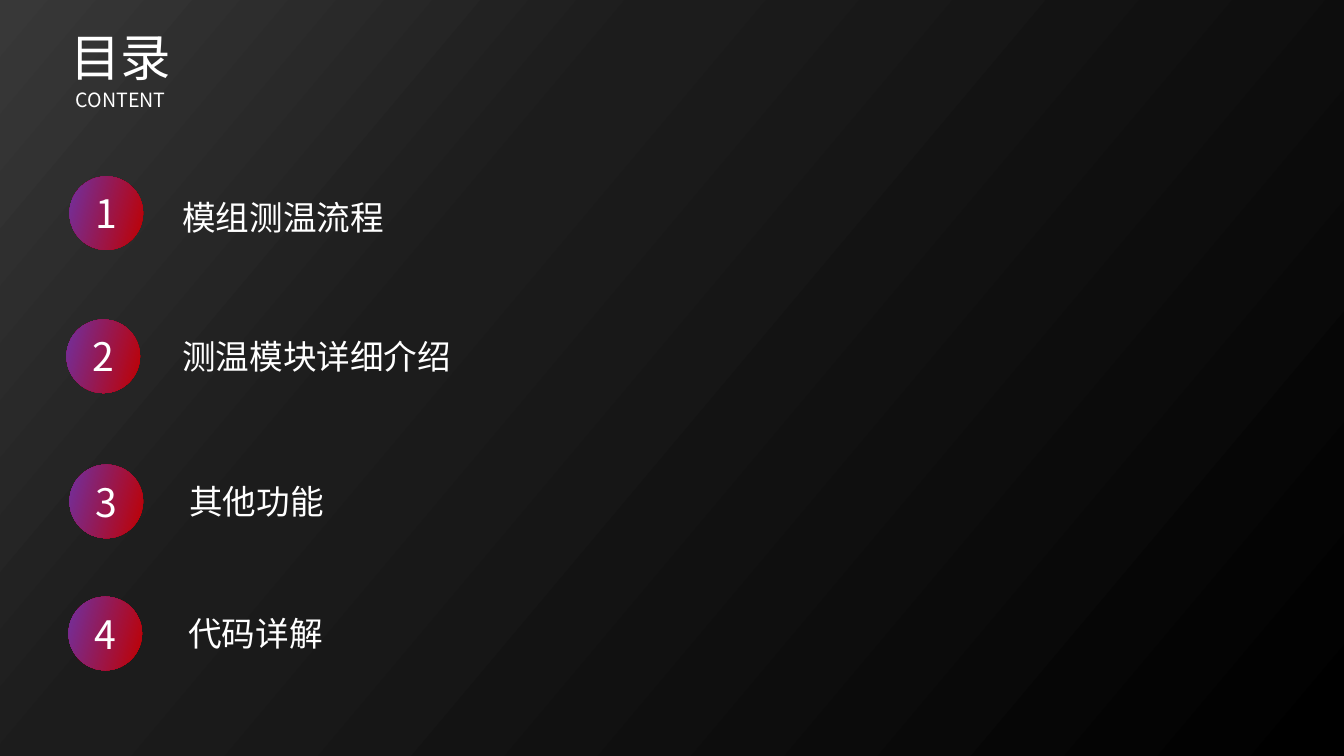
from copy import deepcopy
from dataclasses import dataclass

from pptx import Presentation
from pptx.dml.color import RGBColor
from pptx.enum.shapes import MSO_SHAPE
from pptx.enum.text import MSO_ANCHOR, MSO_AUTO_SIZE, PP_ALIGN
from pptx.oxml.ns import qn
from pptx.slide import Slide
from pptx.text.text import _Paragraph as Paragraph
from pptx.util import Emu, Pt

OVAL = MSO_SHAPE.OVAL
LEFT = PP_ALIGN.LEFT
MIDDLE = MSO_ANCHOR.MIDDLE
NO_AUTOFIT = MSO_AUTO_SIZE.NONE

EMU_PER_PX = 9144
TITLE_ONLY = 5
CIRCLE_SIZE = 73
CJK_FONT = "Noto Sans CJK SC"
COLOURS = {
    "text": "FFFFFF",
    "charcoal": "383838",
    "graphite": "1C1C1C",
    "black": "000000",
    "red": "C00000",
    "purple": "7030A0",
}


@dataclass(frozen=True)
class Box:
    left: int
    top: int
    width: int
    height: int

    def emu(self) -> tuple[Emu, ...]:
        return tuple(px(n) for n in (self.left, self.top, self.width, self.height))


@dataclass(frozen=True)
class Entry:
    label: str
    circle_left: int
    circle_top: int
    label_box: Box
    font: str = "Arial"
    wrap: bool = True


ENTRIES = [
    Entry("模组测温流程", 69, 175, Box(171, 190, 272, 50)),
    Entry("测温模块详细介绍", 66, 317, Box(171, 328, 315, 50), font=CJK_FONT),
    Entry("其他功能", 69, 461, Box(178, 472, 153, 50), wrap=False),
    Entry("代码详解", 68, 592, Box(177, 603, 153, 50), wrap=False),
]


def px(length: int) -> Emu:
    return Emu(length * EMU_PER_PX)


def colour(name: str) -> RGBColor:
    return RGBColor.from_string(COLOURS[name])


def format_text(paragraph: Paragraph, size: int, font: str) -> None:
    paragraph.alignment = LEFT
    for run in paragraph.runs:
        run.font.size = Pt(size)
        run.font.name = font
        run.font.color.rgb = colour("text")
        east_asian = run.font._element.makeelement(qn("a:ea"), {"typeface": font})
        run.font._element.find(qn("a:latin")).addnext(east_asian)


def set_background(slide: Slide) -> None:
    fill = slide.background.fill
    fill.gradient()
    fill.gradient_angle = 320
    stop_list = next(slide.background._cSld.iter(qn("a:gsLst")))
    stop_list.append(deepcopy(stop_list[-1]))
    stops = [(0, "charcoal"), (0.34, "graphite"), (1, "black")]
    for stop, (position, name) in zip(fill.gradient_stops, stops):
        stop.position = position
        stop.color.rgb = colour(name)


def add_heading(slide: Slide) -> None:
    title = slide.shapes.title
    title.left, title.top, title.width, title.height = Box(60, 19, 199, 97).emu()
    frame = title.text_frame
    frame.text = "目录\nCONTENT"
    frame.word_wrap = True
    frame.auto_size = NO_AUTOFIT
    frame.vertical_anchor = MIDDLE
    for paragraph, size, spacing in zip(frame.paragraphs, (36, 14), (44, 18)):
        format_text(paragraph, size, CJK_FONT)
        paragraph.line_spacing = Pt(spacing)
    subtitle = frame.paragraphs[1]
    subtitle._p.get_or_add_pPr().set("marL", str(px(5)))


def add_text(slide: Slide, text: str, box: Box, size: int, font: str, wrap: bool = True) -> None:
    frame = slide.shapes.add_textbox(*box.emu()).text_frame
    frame.text = text
    frame.word_wrap = wrap
    frame.vertical_anchor = MIDDLE
    format_text(frame.paragraphs[0], size, font)


def add_entry(slide: Slide, number: int, entry: Entry) -> None:
    circle_box = Box(entry.circle_left, entry.circle_top, CIRCLE_SIZE, CIRCLE_SIZE)
    circle = slide.shapes.add_shape(OVAL, *circle_box.emu())
    circle.shadow.inherit = False
    circle.line.fill.background()
    circle.fill.gradient()
    circle.fill.gradient_angle = 165
    for stop, position, name in zip(circle.fill.gradient_stops, (0, 1), ("red", "purple")):
        stop.position = position
        stop.color.rgb = colour(name)
    number_box = Box(entry.circle_left + 16, entry.circle_top + 8, 42, 57)
    add_text(slide, str(number), number_box, 28, CJK_FONT)
    add_text(slide, entry.label, entry.label_box, 24, entry.font, entry.wrap)


def main() -> None:
    presentation = Presentation()
    presentation.slide_width = px(1333)
    presentation.slide_height = px(750)
    slide = presentation.slides.add_slide(presentation.slide_layouts[TITLE_ONLY])
    set_background(slide)
    add_heading(slide)
    for number, entry in enumerate(ENTRIES, start=1):
        add_entry(slide, number, entry)
    presentation.save("out.pptx")


if __name__ == "__main__":
    main()
